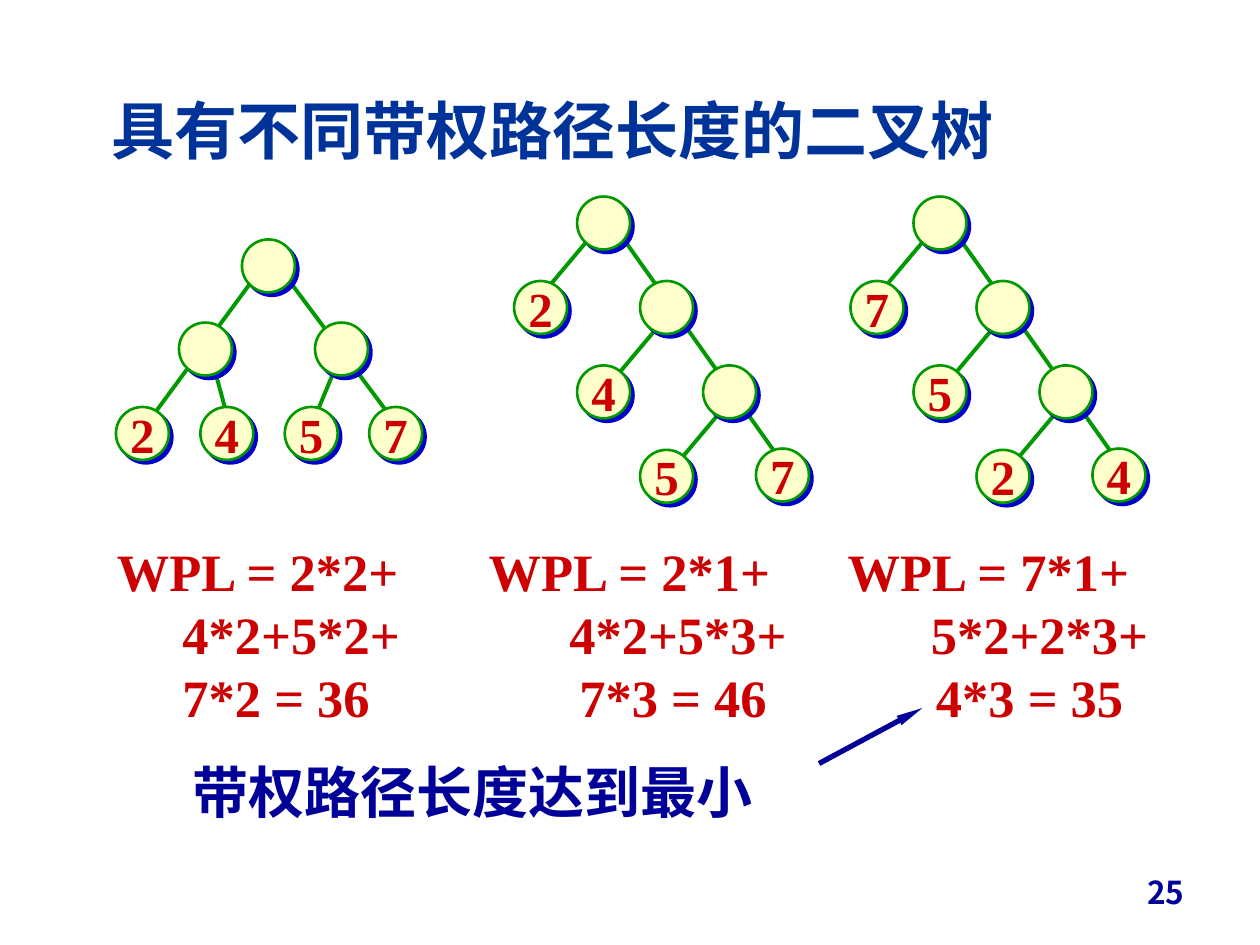
from dataclasses import dataclass, replace

from lxml import etree
from pptx import Presentation
from pptx.dml.color import RGBColor
from pptx.enum.shapes import MSO_CONNECTOR as Connector, MSO_SHAPE as Shape
from pptx.enum.text import MSO_ANCHOR as Anchor, PP_ALIGN as Align
from pptx.oxml.ns import qn
from pptx.util import Inches, Pt

GREEN, CREAM, RED, NAVY, BLUE = "009900", "FFFFCC", "CC0000", "000099", "003399"
SHADOW = "0000CC"
SERIF, CJK, CJK_JP = "Times New Roman", "Noto Sans CJK SC", "Noto Sans CJK JP"
NODE_SIZE = 0.42


@dataclass(frozen=True)
class Style:
    size: float
    color: str
    latin: str = SERIF
    east_asian: str = CJK


@dataclass(frozen=True)
class Line:
    text: str
    style: Style
    tabs: tuple = ()
    format: tuple = ()


@dataclass(frozen=True)
class Node:
    x: float
    y: float
    label: str = ""


@dataclass(frozen=True)
class Tree:
    """Node corners and edge ends are offsets from the root's top left corner."""
    left: float
    top: float
    nodes: tuple
    edges: tuple


def rgb(value: str) -> RGBColor:
    return RGBColor.from_string(value)


def set_attributes(target, values: dict) -> None:
    for name, value in values.items():
        setattr(target, name, value)


def write_line(paragraph, line: Line) -> None:
    """Fill a paragraph with text, its tab stops and its font."""
    properties = paragraph._p.get_or_add_pPr()
    if line.tabs:
        tab_list = etree.SubElement(properties, qn("a:tabLst"))
        for position in line.tabs:
            etree.SubElement(tab_list, qn("a:tab"), pos=str(Inches(position)), algn="l")
    set_attributes(paragraph, dict(line.format))
    run = paragraph.add_run()
    run.text = line.text
    style = line.style
    set_attributes(run.font, {"size": Pt(style.size), "bold": True, "name": style.latin})
    run.font.color.rgb = rgb(style.color)
    etree.SubElement(run._r.get_or_add_rPr(), qn("a:ea"), typeface=style.east_asian)


def add_text(slide, left: float, top: float, width: float, height: float,
             lines: list, anchor=Anchor.TOP) -> None:
    box = slide.shapes.add_textbox(*map(Inches, (left, top, width, height)))
    frame = box.text_frame
    set_attributes(frame, {"word_wrap": True, "vertical_anchor": anchor})
    for index, line in enumerate(lines):
        write_line(frame.add_paragraph() if index else frame.paragraphs[0], line)


def add_line(slide, ends: tuple, color: str, width: float):
    connector = slide.shapes.add_connector(Connector.STRAIGHT, *map(Inches, ends))
    connector.line.color.rgb = rgb(color)
    connector.line.width = Pt(width)
    etree.SubElement(connector._element.spPr, qn("a:effectLst"))
    return connector


def add_hard_shadow(shape) -> None:
    shape.shadow.inherit = False
    effects = shape._element.spPr.find(qn("a:effectLst"))
    outer = etree.SubElement(effects, qn("a:outerShdw"), dist=str(Pt(2.8)),
                             dir="2700000", algn="ctr", rotWithShape="0")
    etree.SubElement(outer, qn("a:srgbClr"), val=SHADOW)


def add_node(slide, left: float, top: float, label: str) -> None:
    circle = slide.shapes.add_shape(
        Shape.OVAL, *map(Inches, (left, top, NODE_SIZE, NODE_SIZE)))
    circle.fill.solid()
    circle.fill.fore_color.rgb = rgb(CREAM)
    circle.line.color.rgb = rgb(GREEN)
    circle.line.width = Pt(1.5)
    add_hard_shadow(circle)
    if label:
        frame = circle.text_frame
        set_attributes(frame, {
            "word_wrap": False, "vertical_anchor": Anchor.MIDDLE,
            "margin_left": 0, "margin_right": 0, "margin_top": 0, "margin_bottom": 0})
        write_line(frame.paragraphs[0],
                   Line(label, Style(28, RED), format=(("alignment", Align.CENTER),)))


def add_tree(slide, tree: Tree) -> None:
    for x1, y1, x2, y2 in tree.edges:
        ends = (tree.left + x1, tree.top + y1, tree.left + x2, tree.top + y2)
        add_line(slide, ends, GREEN, 2.25)
    for node in tree.nodes:
        add_node(slide, tree.left + node.x, tree.top + node.y, node.label)


def skewed_tree(left: float, top: float, labels: str) -> Tree:
    """A chain of inner nodes to the right, with a leaf to the left of each."""
    inner = [Node(0.5 * level, 0.67 * level) for level in range(3)]
    leaves = [Node(0.5 * level - 0.5, 0.67 * level + 0.67, label)
              for level, label in enumerate(labels[:3])]
    last_leaf = Node(1.42, 2, labels[3])
    branches = [(x, y, x - 0.42, y + 0.5)
                for x, y in ((0.09, 0.34), (0.67, 1), (1.17, 1.67))]
    return Tree(left, top, (*inner, *leaves, last_leaf),
                (*branches, (0.25, 0.17, 1.67, 2.17)))


def main() -> None:
    presentation = Presentation()
    set_attributes(presentation, {"slide_width": Inches(10), "slide_height": Inches(7.5)})
    slide = presentation.slides.add_slide(presentation.slide_layouts[6])

    number_style = Style(18, NAVY, CJK_JP, CJK_JP)
    add_text(slide, 7.17, 6.78, 2.33, 0.5,
             [Line("25", number_style, format=(("alignment", Align.RIGHT),))],
             Anchor.BOTTOM)
    add_text(slide, 0.79, 0.68, 8.33, 0.7,
             [Line("具有不同带权路径长度的二叉树", Style(36, BLUE))])

    sum_style = Style(30, RED)
    pitch = (("line_spacing", Pt(36)),)
    add_text(slide, 0.83, 4.23, 8.5, 2.43, [
        Line("WPL = 2*2+\tWPL = 2*1+\tWPL = 7*1+", sum_style, (2.95, 5.8), pitch),
        Line("\t4*2+5*2+\t4*2+5*3+\t5*2+2*3+", sum_style, (0.52, 3.59, 6.46), pitch),
        Line("\t7*2 = 36\t7*3 = 46\t4*3 = 35", sum_style, (0.52, 3.67, 6.5), pitch),
        Line("\t带权路径长度达到最小", replace(sum_style, size=32, color=NAVY, latin=CJK),
             (0.6,), (("space_before", Pt(17)),)),
    ])

    leaves = tuple(Node(-1 + 0.67 * index, 1.33, label)
                   for index, label in enumerate("2457"))
    balanced_tree = Tree(
        1.92, 1.9,
        (Node(0, 0), Node(-0.5, 0.66), Node(0.58, 0.66), *leaves),
        ((0.25, 0.16, 1.25, 1.5), (0.75, 1, 0.58, 1.41),
         (-0.25, 0.91, -0.09, 1.5), (0.08, 0.33, -0.84, 1.58)))
    for tree in (balanced_tree, skewed_tree(4.58, 1.56, "2457"),
                 skewed_tree(7.25, 1.56, "7524")):
        add_tree(slide, tree)

    arrow = add_line(slide, (6.5, 6.06, 7.32, 5.62), NAVY, 3)
    etree.SubElement(arrow.line._get_or_add_ln(), qn("a:tailEnd"),
                     type="triangle", w="sm", len="lg")
    presentation.save("out.pptx")


if __name__ == "__main__":
    main()
